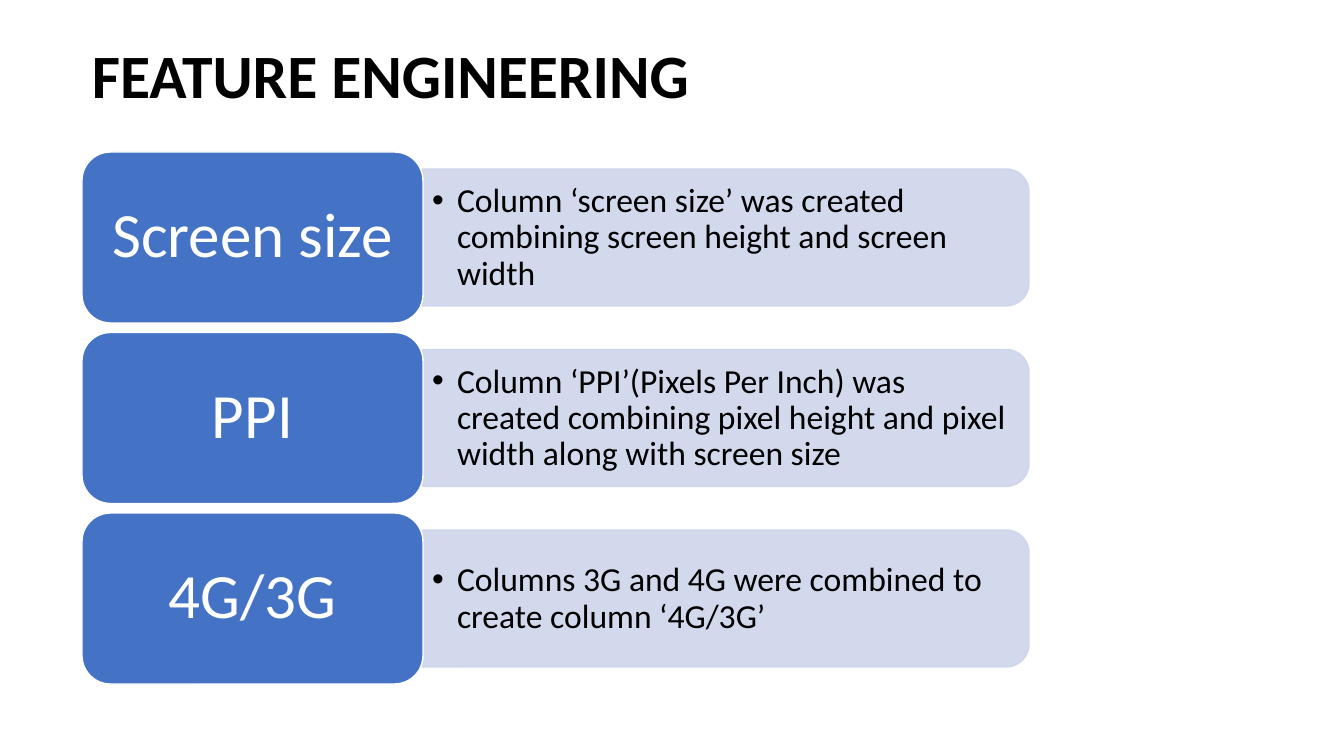
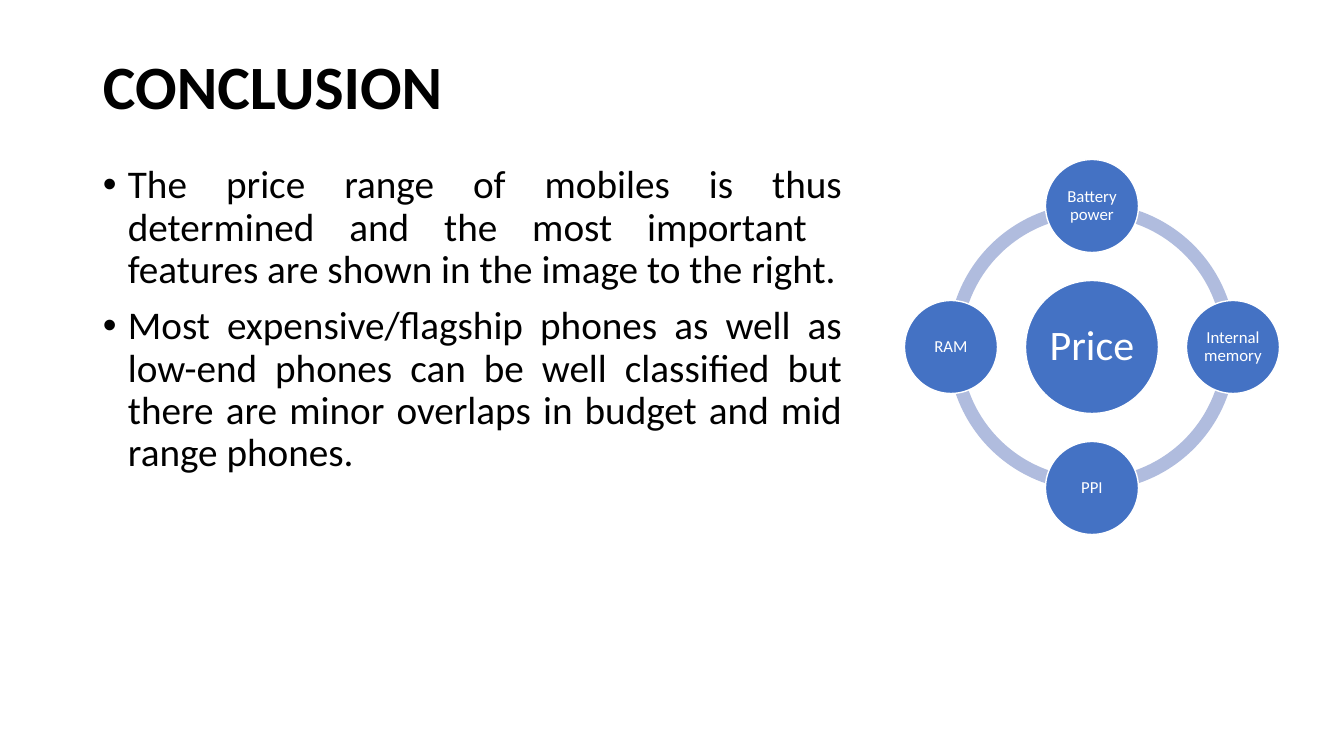
from pptx import Presentation
from pptx.dml.color import RGBColor
from pptx.enum.shapes import MSO_SHAPE
from pptx.enum.text import MSO_ANCHOR, PP_ALIGN
from pptx.oxml.ns import qn
from pptx.oxml.xmlchemy import OxmlElement
from pptx.util import Pt

# Scale: whole pixels to EMU
SLIDE_W, SLIDE_H = 1344, 756
EMU_PER_PX = 12192000 / SLIDE_W

# Shared style
BLUE = RGBColor(0x44, 0x72, 0xC4)
PALE = RGBColor(0xCF, 0xD5, 0xEA)
RING = RGBColor(0xB0, 0xBC, 0xDE)
WHITE = RGBColor(0xFF, 0xFF, 0xFF)
BLACK = RGBColor(0x00, 0x00, 0x00)
FONT = "Calibri"

ROUNDED, ELLIPSE, ARC, TOP_ROUNDED = (
    MSO_SHAPE.ROUNDED_RECTANGLE, MSO_SHAPE.OVAL, MSO_SHAPE.BLOCK_ARC,
    MSO_SHAPE.ROUND_2_SAME_RECTANGLE)
TOP, MIDDLE = MSO_ANCHOR.TOP, MSO_ANCHOR.MIDDLE
LEFT, CENTER, JUSTIFY = PP_ALIGN.LEFT, PP_ALIGN.CENTER, PP_ALIGN.JUSTIFY


def px(value):
    return round(value * EMU_PER_PX)


class Deck:
    def __init__(self):
        self.prs = Presentation()
        self.prs.slide_width, self.prs.slide_height = px(SLIDE_W), px(SLIDE_H)
        self.s = None

    def slide(self, title, x, y):
        self.s = self.prs.slides.add_slide(self.prs.slide_layouts[6])
        self.text(x, y, 1159, 146, [title], size=44, bold=True)

    def fill_text(self, sp, lines, size, color=BLACK, bold=False, align=LEFT,
                  anchor=MIDDLE, margins=(10, 5), before=0, bullet=False):
        tf = sp.text_frame
        side, edge = map(px, margins)
        frame = {"word_wrap": True, "vertical_anchor": anchor,
                 "margin_left": side, "margin_right": side,
                 "margin_top": edge, "margin_bottom": edge}
        for name, value in frame.items():
            setattr(tf, name, value)
        para = {"alignment": align, "line_spacing": 0.9, "space_before": Pt(before)}
        font = {"name": FONT, "size": Pt(size), "bold": bold}
        for i, line in enumerate(lines):
            p = tf.add_paragraph() if i else tf.paragraphs[0]
            for name, value in para.items():
                setattr(p, name, value)
            if bullet:
                self.bullet(p)
            r = p.add_run()
            r.text = line
            for name, value in font.items():
                setattr(r.font, name, value)
            r.font.color.rgb = color

    def bullet(self, p):
        pPr = p._p.get_or_add_pPr()
        pPr.set("marL", str(px(25)))
        pPr.set("indent", str(-px(25)))
        for tag, key, value in (("a:buFont", "typeface", "Arial"),
                                ("a:buChar", "char", "•")):
            mark = OxmlElement(tag)
            mark.set(key, value)
            pPr.append(mark)

    def text(self, x, y, w, h, lines, **style):
        sp = self.s.shapes.add_textbox(px(x), px(y), px(w), px(h))
        self.fill_text(sp, lines, **style)

    def shape(self, kind, x, y, w, h, fill, line=None):
        sp = self.s.shapes.add_shape(kind, px(x), px(y), px(w), px(h))
        sp.shadow.inherit = False
        sp.fill.solid()
        sp.fill.fore_color.rgb = fill
        if line is None:
            sp.line.fill.background()
        else:
            sp.line.color.rgb = line
            sp.line.width = Pt(1)
        return sp

    def panel(self, x, y, w, h):
        """Band rounded at its right end: a top-rounded shape turned by 90 degrees."""
        sp = self.shape(TOP_ROUNDED, x + (w - h) / 2, y + (h - w) / 2, h, w, PALE, PALE)
        sp.rotation = 90
        for clr in sp._element.spPr.iter(qn("a:srgbClr")):
            alpha = OxmlElement("a:alpha")
            alpha.set("val", "90000")
            clr.append(alpha)

    def label(self, kind, x, y, w, h, text, size, margins):
        sp = self.shape(kind, x, y, w, h, BLUE, WHITE)
        self.fill_text(sp, [text], size, WHITE, align=CENTER, margins=margins)

    def circle(self, cx, cy, d, text, size, margin):
        self.label(ELLIPSE, cx - d / 2, cy - d / 2, d, d, text, size, (margin, margin))

    def ring(self, cx, cy, d):
        quarter = 54  # 90 degrees in adjustment units
        for start in (108, 54, 0, 162):
            sp = self.shape(ARC, cx - d / 2, cy - d / 2, d, d, RING)
            for i, value in enumerate((start, (start + quarter) % 216, 0.046)):
                sp.adjustments[i] = value


deck = Deck()

# Feature engineering: one row per feature
deck.slide("FEATURE ENGINEERING", 82, 6)
features = [
    ("Screen size", "Column ‘screen size’ was created combining screen height "
                    "and screen width"),
    ("PPI", "Column ‘PPI’(Pixels Per Inch) was created combining pixel height "
            "and pixel width along with screen size"),
    ("4G/3G", "Columns 3G and 4G were combined to create column ‘4G/3G’"),
]
ROW_PITCH = 180.5
for i, (feature, detail) in enumerate(features):
    top = 152 + ROW_PITCH * i
    deck.panel(422, top + 17, 607, 137)
    deck.text(422, top + 24, 600, 124, [detail], size=24, bullet=True)
    deck.label(ROUNDED, 82, top, 341, 171, feature, 45, (18, 9))

# Conclusion: findings
deck.slide("CONCLUSION", 93, 17)
deck.text(93, 160, 759, 480, [
    "The price range of mobiles is thus determined and the most important  "
    "features are shown in the image to the right.",
    "Most expensive/flagship phones as well as low-end phones can be well "
    "classified but there are minor overlaps in budget and mid range phones.",
], size=28, align=JUSTIFY, anchor=TOP, before=10, bullet=True)

# Conclusion: price and the features around it
CX, CY, RADIUS = 1092, 347, 141
deck.ring(CX, CY, 288)
deck.circle(CX, CY, 133, "Price", 30, 4)
for dx, dy, feature in ((0, -1, "Battery power"), (1, 0, "Internal memory"),
                        (0, 1, "PPI"), (-1, 0, "RAM")):
    deck.circle(CX + dx * RADIUS, CY + dy * RADIUS, 93, feature, 12, 2)

deck.prs.save("out.pptx")
